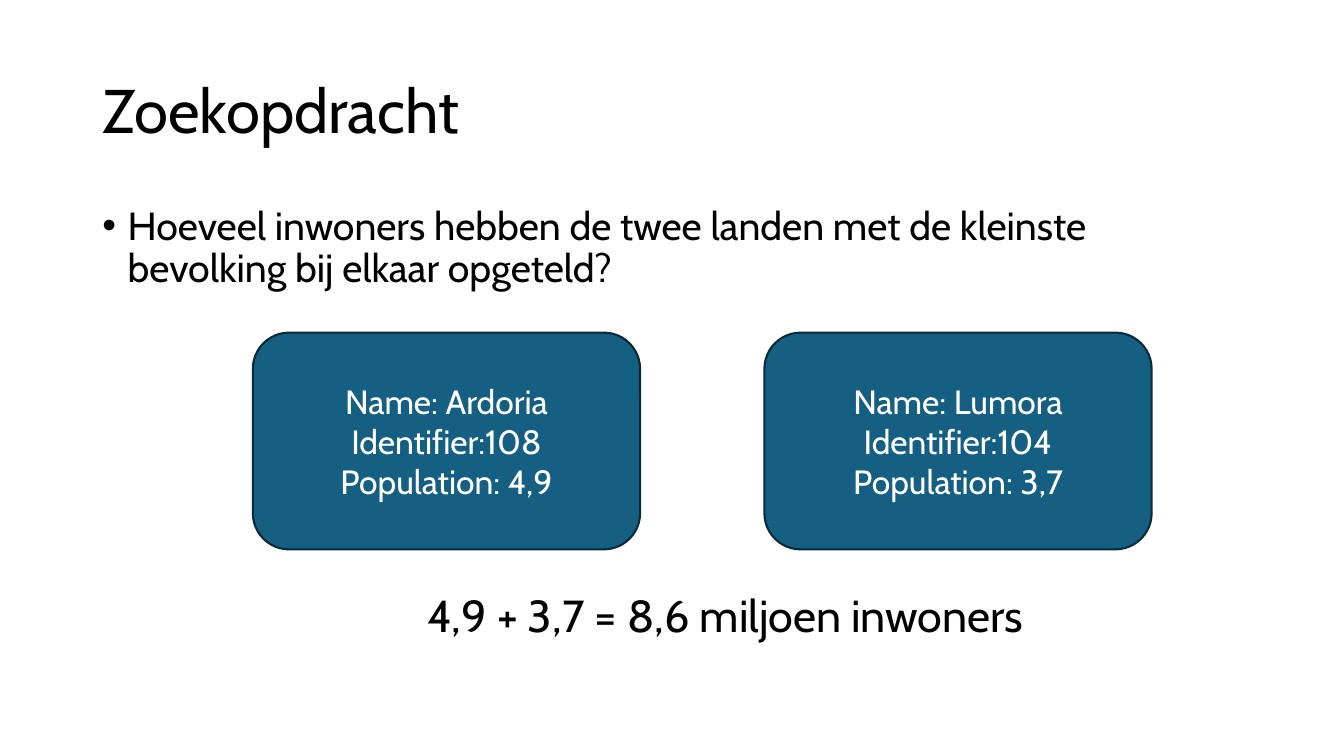
from lxml.etree import SubElement
from pptx import Presentation
from pptx.dml.color import RGBColor
from pptx.enum.shapes import MSO_SHAPE as Shape
from pptx.enum.text import MSO_ANCHOR as Anchor, MSO_AUTO_SIZE as AutoSize, PP_ALIGN as Align
from pptx.oxml.ns import qn
from pptx.util import Inches, Pt

BLACK = RGBColor(0x00, 0x00, 0x00)
WHITE = RGBColor(0xFF, 0xFF, 0xFF)
BLUE = RGBColor(0x15, 0x60, 0x82)
DARK_BLUE = RGBColor(0x09, 0x2A, 0x39)

COUNTRIES = [("Ardoria", 108, "4,9"), ("Lumora", 104, "3,7")]


def write(frame, *lines, font, size, color=BLACK, align=Align.LEFT, spacing=1.0,
          anchor=Anchor.TOP, wrap=True, fit=AutoSize.NONE):
    """Put each line in its own paragraph of the frame."""
    frame.word_wrap, frame.auto_size, frame.vertical_anchor = wrap, fit, anchor
    for index, line in enumerate(lines):
        para = frame.add_paragraph() if index else frame.paragraphs[0]
        para.alignment, para.line_spacing, para.space_before = align, spacing, Pt(0)
        span = para.add_run()
        span.text = line
        span.font.name, span.font.size = font, Pt(size)
        span.font.color.rgb = color


def add_bullet(para, indent):
    properties = para._p.get_or_add_pPr()
    properties.set("marL", str(indent))
    properties.set("indent", str(-indent))
    SubElement(properties, qn("a:buFont"), typeface="Arial")
    SubElement(properties, qn("a:buChar"), char="•")


class SlideBuilder:
    """Places elements on a grid of 160 columns by 90 rows."""
    font = "Cabin"

    def __init__(self, deck):
        self.column, self.row = deck.slide_width / 160, deck.slide_height / 90
        self.page = deck.slides.add_slide(deck.slide_layouts[1])

    def area(self, left, top, width, height):
        return (round(left * self.column), round(top * self.row),
                round(width * self.column), round(height * self.row))

    def placeholder(self, number, *place):
        box = self.page.placeholders[number]
        box.left, box.top, box.width, box.height = self.area(*place)
        return box.text_frame

    def title(self, text, *place):
        write(self.placeholder(0, *place), text, font=self.font, size=44,
              spacing=0.9, anchor=Anchor.MIDDLE)

    def bullets(self, lines, *place):
        frame = self.placeholder(1, *place)
        write(frame, *lines, font=self.font, size=28, spacing=0.9)
        for para in frame.paragraphs:
            add_bullet(para, Inches(0.25))

    def card(self, lines, *place):
        box = self.page.shapes.add_shape(Shape.ROUNDED_RECTANGLE, *self.area(*place))
        box.shadow.inherit = False
        box.fill.solid()
        box.fill.fore_color.rgb = BLUE
        box.line.color.rgb = DARK_BLUE
        box.line.width = Pt(1.5)
        write(box.text_frame, *lines, font=self.font, size=24, color=WHITE,
              align=Align.CENTER, anchor=Anchor.MIDDLE)

    def label(self, text, *place):
        box = self.page.shapes.add_textbox(*self.area(*place))
        write(box.text_frame, text, font=self.font, size=32, wrap=False,
              fit=AutoSize.SHAPE_TO_FIT_TEXT)


def main():
    deck = Presentation()
    deck.slide_width, deck.slide_height = Inches(13.33), Inches(7.5)
    slide = SlideBuilder(deck)
    slide.title("Zoekopdracht", 11, 4.8, 138, 17.4)
    slide.bullets(["Hoeveel inwoners hebben de twee landen met de kleinste "
                   "bevolking bij elkaar opgeteld?"], 11, 24, 138, 57.1)
    for index, (name, identifier, population) in enumerate(COUNTRIES):
        lines = [f"Name: {name}", f"Identifier:{identifier}", f"Population: {population}"]
        slide.card(lines, 30.1 + index * 60.9, 39.6, 46.1, 25.8)
    slide.label("4,9 + 3,7 = 8,6 miljoen inwoners", 49.7, 69.4, 75.3, 7.7)
    deck.save("out.pptx")


if __name__ == "__main__":
    main()
